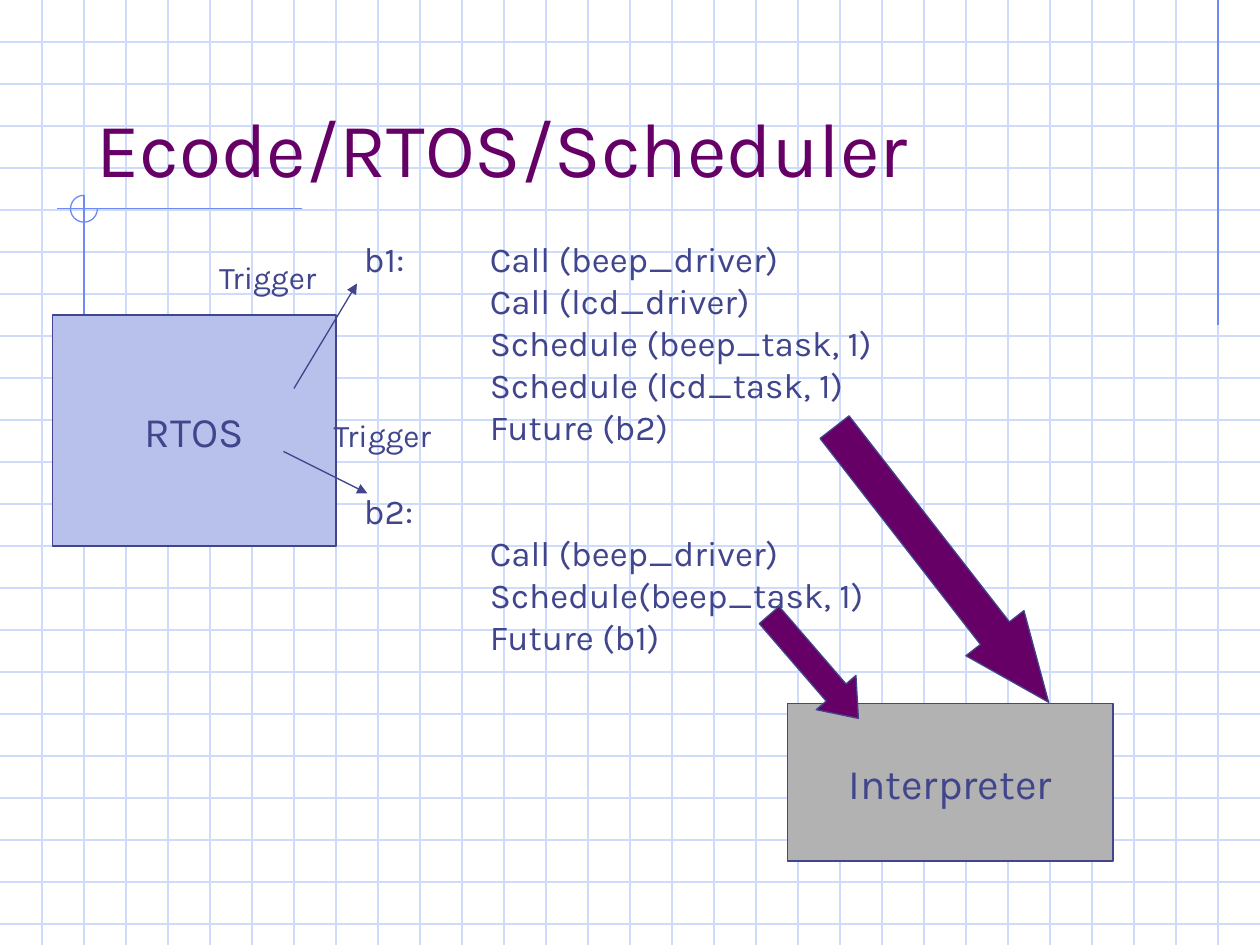
from lxml.etree import SubElement
from pptx import Presentation
from pptx.dml.color import RGBColor
from pptx.enum.shapes import MSO_CONNECTOR, MSO_SHAPE
from pptx.enum.text import MSO_ANCHOR, MSO_AUTO_SIZE, PP_ALIGN
from pptx.oxml.ns import qn
from pptx.util import Inches, Pt

COLUMNS, ROWS = 30, 22.5
GRID, ACCENT, INK, PLUM = "CFDBFD", "6F89F7", "40458C", "660066"
LAVENDER, GRAY = "B7C1EB", "B2B2B2"

CALLS = [
    ("b1: \tCall (beep_driver)", 0),
    ("\tCall (lcd_driver)", 0),
    ("\tSchedule (beep_task, 1)", 0),
    ("\tSchedule (lcd_task, 1)", 0),
    ("\tFuture (b2)", 0),
    ("b2:", 24),
    ("\tCall (beep_driver)", 0),
    ("\tSchedule(beep_task, 1)", 0),
    ("\tFuture (b1)", 0),
]


def color(value):
    return RGBColor.from_string(value)


def cells(*counts):
    return [Inches(count / 3) for count in counts]


class SlideBuilder:
    font = "Karla"
    stroke = Pt(0.75)

    def __init__(self, slide):
        self.slide = slide

    def line(self, start, end, ink, arrow=False):
        connector = self.slide.shapes.add_connector(
            MSO_CONNECTOR.STRAIGHT, *cells(*start, *end))
        self.outline(connector, ink)
        properties = connector._element.spPr
        if arrow:
            SubElement(properties.find(qn("a:ln")), qn("a:tailEnd"), type="triangle")
        SubElement(properties, qn("a:effectLst"))

    def outline(self, element, ink):
        element.line.color.rgb = color(ink)
        element.line.width = self.stroke

    def shape(self, preset, frame, ink, fill=None, adjustments=(), rotation=0):
        element = self.slide.shapes.add_shape(preset, *cells(*frame))
        element.shadow.inherit = False
        element.rotation = rotation
        for index, value in enumerate(adjustments):
            element.adjustments[index] = value
        if fill:
            element.fill.solid()
            element.fill.fore_color.rgb = color(fill)
        else:
            element.fill.background()
        self.outline(element, ink)
        return element

    def box(self, caption, frame, fill):
        body = self.shape(MSO_SHAPE.RECTANGLE, frame, INK, fill).text_frame
        body.word_wrap = False
        body.vertical_anchor = MSO_ANCHOR.MIDDLE
        self.add_words(body.paragraphs[0], caption, 24, INK, PP_ALIGN.CENTER)

    def text(self, lines, frame, size, ink=INK, anchor=MSO_ANCHOR.TOP, wrap=False):
        body = self.slide.shapes.add_textbox(*cells(*frame)).text_frame
        body.word_wrap = wrap
        body.vertical_anchor = anchor
        body.auto_size = MSO_AUTO_SIZE.NONE if wrap else MSO_AUTO_SIZE.SHAPE_TO_FIT_TEXT
        for index, (words, gap) in enumerate(lines):
            paragraph = body.add_paragraph() if index else body.paragraphs[0]
            if gap:
                paragraph.space_before = Pt(gap)
            if "\t" in words:
                stops = SubElement(paragraph._p.get_or_add_pPr(), qn("a:tabLst"))
                SubElement(stops, qn("a:tab"), pos=str(Inches(1)), algn="l")
            self.add_words(paragraph, words, size, ink)

    def add_words(self, paragraph, words, size, ink, alignment=PP_ALIGN.LEFT):
        paragraph.alignment = alignment
        run = paragraph.add_run()
        run.text = words
        run.font.name = self.font
        run.font.size = Pt(size)
        run.font.color.rgb = color(ink)


def main():
    presentation = Presentation()
    presentation.slide_width, presentation.slide_height = cells(COLUMNS, ROWS)
    builder = SlideBuilder(presentation.slides.add_slide(presentation.slide_layouts[6]))

    for row in range(1, 23):
        builder.line((0, row), (COLUMNS, row), GRID)
    for column in range(1, COLUMNS):
        builder.line((column, 0), (column, ROWS), GRID)

    builder.line((29, 0), (29, 7.75), ACCENT)
    builder.line((7.2, 4.97), (1.35, 4.97), ACCENT)
    builder.line((2, 4.65), (2, 12.27), ACCENT)
    builder.shape(MSO_SHAPE.ARC, (1.68, 4.65, 0.64, 0.64), ACCENT, adjustments=(0, 162))

    builder.text([("Ecode/RTOS/Scheduler", 0)], (2, 1, 25.5, 3.75), 44, PLUM,
                 MSO_ANCHOR.BOTTOM, wrap=True)
    builder.text(CALLS, (8.37, 5.5, 12.75, 10.32), 20)

    builder.box("RTOS", (1.25, 7.5, 6.75, 5.5), LAVENDER)
    builder.line((7, 9.25), (8.5, 6.75), INK, arrow=True)
    builder.line((6.75, 10.75), (8.75, 11.75), INK, arrow=True)
    builder.box("Interpreter", (18.75, 16.75, 7.75, 3.75), GRAY)
    for left, top in ((4.92, 6), (7.65, 9.75)):
        builder.text([("Trigger", 0)], (left, top, 3.18, 1.2), 18)

    for frame, head, rotation in (
        ((17.75, 15.25, 3.25, 1.25), 0.65, 49.2),
        ((18.27, 12.57, 8.3, 1.75), 1.19, 52.1),
    ):
        builder.shape(MSO_SHAPE.RIGHT_ARROW, frame, INK, PLUM, (0.5, head), rotation)

    presentation.save("out.pptx")


if __name__ == "__main__":
    main()
